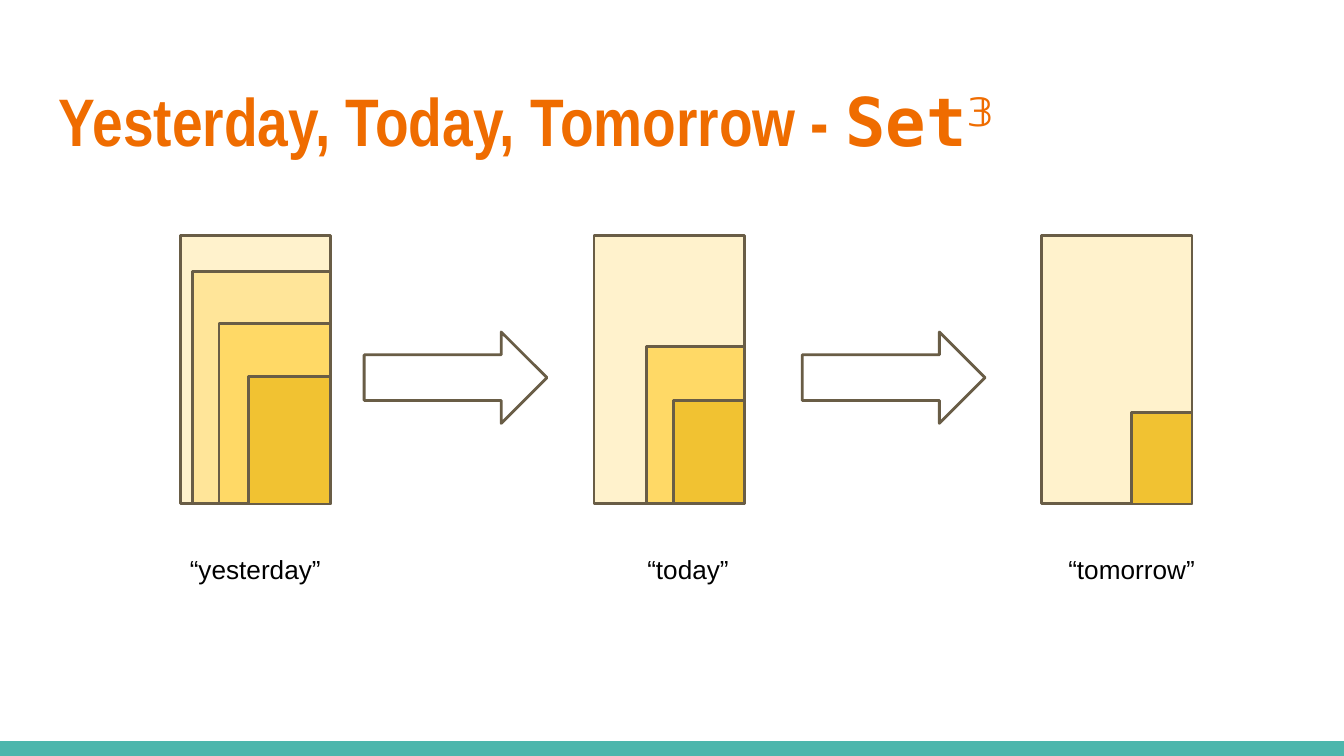
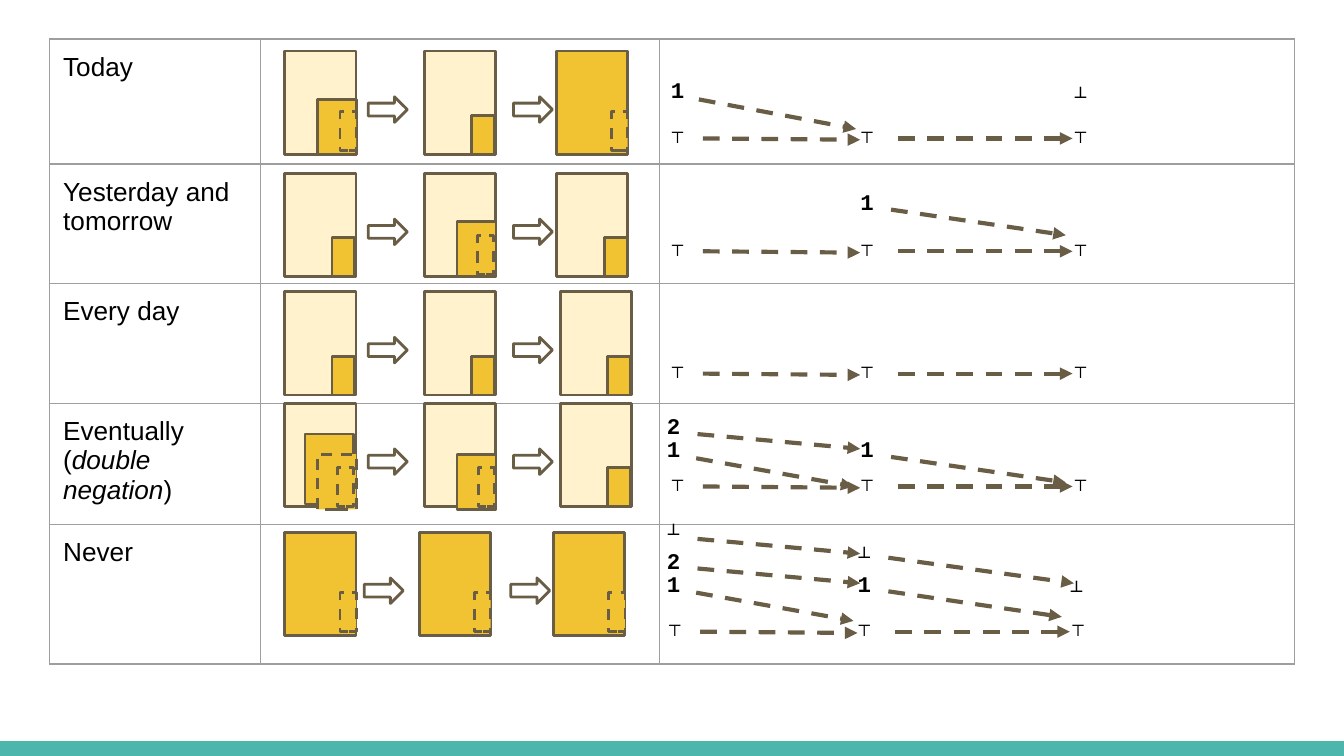
"""Build two slides on sets through time: a three-stage diagram and a table of cases."""
import pptx
import pptx.dml.color
import pptx.enum.dml
import pptx.enum.shapes
import pptx.enum.text
import pptx.oxml.ns
import pptx.util
from lxml import etree

EMU_PER_PX = 9144
WIDTH = 1000
HEIGHT = WIDTH * 9 / 16
INSET = 10

TEAL, ORANGE, BROWN = "4DB6AC", "EF6C00", "695D46"
WHITE, BLACK, GREY = "FFFFFF", "000000", "9E9E9E"
CREAM, PALE, SAND, GOLD = "FFF2CC", "FFE599", "FFD966", "F1C232"
SHAPES = pptx.enum.shapes.MSO_SHAPE
CENTER = pptx.enum.text.PP_ALIGN.CENTER

TITLE = [
    ("Yesterday, Today, Tomorrow - ", {}),
    ("Set", {"font": "DejaVu Sans Mono"}),
    ("𝟛", {"font": "DejaVu Sans Mono", "baseline": 30}),
]
STAGE_BOTTOM = 375
STAGES = [
    ("“yesterday”", 110, 246,
     [(112, 200, CREAM), (103, 173, PALE), (83, 134, SAND), (61, 95, GOLD)]),
    ("“today”", 432, 554, [(112, 200, CREAM), (73, 117, SAND), (53, 77, GOLD)]),
    ("“tomorrow”", 762, 887, [(112, 200, CREAM), (45, 68, GOLD)]),
]
STAGE_ARROWS = [271, 597]

COLUMNS = [157, 297, 472]
ROWS = [93, 89, 89, 89, 104]
PANEL = (53, 77)
BLOCKS = {
    "big": (36, 52, False),
    "middle": (29, 41, False),
    "small": (17, 29, False),
    "ghost": (29, 41, True),
    "slot": (12, 29, True),
}
SMALL = ("small", 35, 48)
SLOT = ("slot", 41, 45)
SYMBOL_COLUMNS = [493, 634, 793]
BASE_LINKS = [(523, 640, 1), (668, 798, 0)]
CASES = [
    {
        "label": [("Today", {})], "top": 38, "base": 83, "shift": 0,
        "panels": [(212, CREAM, [("middle", 24, 36), SLOT]), (316, CREAM, [SMALL]),
                   (414, GOLD, [SLOT])],
        "arrows": [274, 382],
        "symbols": [("1", 493, 50), ("⊥", 793, 50)],
        "links": [(520, 74, 637, 96)],
    },
    {
        "label": [("Yesterday and tomorrow", {})], "top": 129, "base": 167, "shift": 0,
        "panels": [(212, CREAM, [SMALL]), (316, CREAM, [("middle", 24, 36), ("slot", 39, 46)]),
                   (414, CREAM, [("small", 36, 48)])],
        "arrows": [274, 382],
        "symbols": [("1", 634, 133)],
        "links": [(663, 156, 793, 175)],
    },
    {
        "label": [("Every day", {})], "top": 217, "base": 258, "shift": 0,
        "panels": [(x, CREAM, [SMALL]) for x in (212, 316, 417)],
        "arrows": [274, 382],
        "symbols": [],
        "links": [],
    },
    {
        "label": [("Eventually (", {}), ("double negation", {"italic": True}), (")", {})],
        "top": 300, "base": 342, "shift": 0,
        "panels": [(212, CREAM, [("big", 15, 23), ("ghost", 24, 38), ("slot", 39, 48)]),
                   (316, CREAM, [("middle", 24, 38), ("slot", 40, 48)]),
                   (417, CREAM, [SMALL])],
        "arrows": [274, 382],
        "symbols": [("2", 490, 300), ("1", 490, 317), ("1", 634, 317)],
        "links": [(519, 323, 640, 334), (518, 341, 635, 362), (663, 340, 793, 359)],
    },
    {
        "label": [("Never", {})], "top": 396, "base": 450, "shift": -2,
        "panels": [(x, GOLD, [SLOT]) for x in (212, 312, 412)],
        "arrows": [271, 380],
        "symbols": [("⊥", 490, 375), ("2", 490, 400), ("1", 490, 417),
                    ("⊥", 632, 392), ("1", 632, 417), ("⊥", 790, 417)],
        "links": [(519, 401, 640, 412), (519, 423, 640, 434), (518, 441, 635, 462),
                  (661, 415, 799, 434), (661, 440, 790, 459)],
    },
]


def px(length):
    return pptx.util.Emu(round(length * EMU_PER_PX))


def rgb(color):
    return pptx.dml.color.RGBColor.from_string(color)


def add_child(parent, tag, **attributes):
    return etree.SubElement(parent, pptx.oxml.ns.qn(tag), attributes)


def write_text(frame, spans, size=14, font="Arial", color=BLACK, bold=False, align=None):
    para = frame.paragraphs[0]
    para.alignment = align
    for text, changes in spans:
        span = para.add_run()
        span.text = text
        span.font.size = pptx.util.Pt(size)
        span.font.bold = bold
        span.font.italic = changes.get("italic", False)
        span.font.color.rgb = rgb(color)
        span.font.name = changes.get("font", font)
        properties = span.font._element
        for tag in ("a:ea", "a:cs"):
            add_child(properties, tag, typeface=span.font.name)
        if "baseline" in changes:
            properties.set("baseline", str(changes["baseline"] * 1000))


def add_text(page, left, top, width, height, spans, **style):
    box = page.shapes.add_textbox(px(left), px(top), px(width), px(height))
    frame = box.text_frame
    frame.word_wrap = True
    frame.margin_left = frame.margin_right = px(INSET)
    frame.margin_top = frame.margin_bottom = px(INSET)
    write_text(frame, spans, **style)


def add_block(page, left, top, width, height, fill, kind=SHAPES.RECTANGLE, line=BROWN, dashed=False):
    block = page.shapes.add_shape(kind, px(left), px(top), px(width), px(height))
    block.shadow.inherit = False
    block.fill.solid()
    block.fill.fore_color.rgb = rgb(fill)
    if line is None:
        block.line.fill.background()
        return
    block.line.color.rgb = rgb(line)
    block.line.width = pptx.util.Pt(1.5)
    if dashed:
        block.line.dash_style = pptx.enum.dml.MSO_LINE.DASH


def add_link(page, x1, y1, x2, y2):
    link = page.shapes.add_connector(
        pptx.enum.shapes.MSO_CONNECTOR.STRAIGHT, px(x1), px(y1), px(x2), px(y2))
    link.line.color.rgb = rgb(BROWN)
    link.line.width = pptx.util.Pt(2.25)
    link.line.dash_style = pptx.enum.dml.MSO_LINE.DASH
    add_child(link.line._get_or_add_ln(), "a:tailEnd", type="triangle")
    add_child(link._element.spPr, "a:effectLst")


def add_symbol(page, text, left, top):
    add_text(page, left, top, 16, 17, [(text + " ", {})],
             size=12, font="Courier New", bold=True, align=CENTER)


def add_page(deck):
    page = deck.slides.add_slide(deck.slide_layouts[6])
    page.background.fill.solid()
    page.background.fill.fore_color.rgb = rgb(WHITE)
    add_block(page, 0, HEIGHT - 11, WIDTH, 11, TEAL, line=None)
    return page


def style_cell(cell):
    cell.margin_left = cell.margin_right = px(INSET)
    cell.margin_top = cell.margin_bottom = px(INSET)
    properties = cell._tc.get_or_add_tcPr()
    for side in ("a:lnL", "a:lnR", "a:lnT", "a:lnB"):
        border = add_child(properties, side, w=str(pptx.util.Pt(0.75)))
        add_child(add_child(border, "a:solidFill"), "a:srgbClr", val=GREY)
    cell.fill.background()


def add_case_table(page):
    table = page.shapes.add_table(
        len(ROWS), len(COLUMNS), px(37), px(29), px(sum(COLUMNS)), px(sum(ROWS))).table
    table.first_row = table.horz_banding = False
    for column, width in zip(table.columns, COLUMNS):
        column.width = px(width)
    for row, height in zip(table.rows, ROWS):
        row.height = px(height)
    for cell in table.iter_cells():
        style_cell(cell)
    for index, case in enumerate(CASES):
        write_text(table.cell(index, 0).text_frame, case["label"])


def draw_case(page, case):
    top, base, shift = case["top"], case["base"], case["shift"]
    for left, fill, blocks in case["panels"]:
        add_block(page, left, top, *PANEL, fill)
        for name, across, down in blocks:
            width, height, dashed = BLOCKS[name]
            add_block(page, left + across, top + down, width, height, GOLD, dashed=dashed)
    for left in case["arrows"]:
        add_block(page, left, top + 34, 29, 19, WHITE, kind=SHAPES.RIGHT_ARROW)
    for start, end, drop in BASE_LINKS:
        add_link(page, start + shift, base + 20, end + shift, base + 20 + drop)
    for link in case["links"]:
        add_link(page, *link)
    for left in SYMBOL_COLUMNS:
        add_symbol(page, "⊤", left + shift, base)
    for symbol in case["symbols"]:
        add_symbol(page, *symbol)


def build_stages(deck):
    page = add_page(deck)
    add_text(page, 34, 49, 932, 77, TITLE, size=36, font="Arial Narrow", color=ORANGE, bold=True)
    for caption, caption_left, right, blocks in STAGES:
        for width, height, fill in blocks:
            add_block(page, right - width, STAGE_BOTTOM - height, width, height, fill)
        add_text(page, caption_left, 402, 160, 26, [(caption, {})], align=CENTER)
    for left in STAGE_ARROWS:
        add_block(page, left, 247, 136, 68, WHITE, kind=SHAPES.RIGHT_ARROW)


def build_cases(deck):
    page = add_page(deck)
    add_case_table(page)
    for case in CASES:
        draw_case(page, case)


def main():
    deck = pptx.Presentation()
    deck.slide_width, deck.slide_height = px(WIDTH), px(HEIGHT)
    build_stages(deck)
    build_cases(deck)
    deck.save("out.pptx")


if __name__ == "__main__":
    main()
